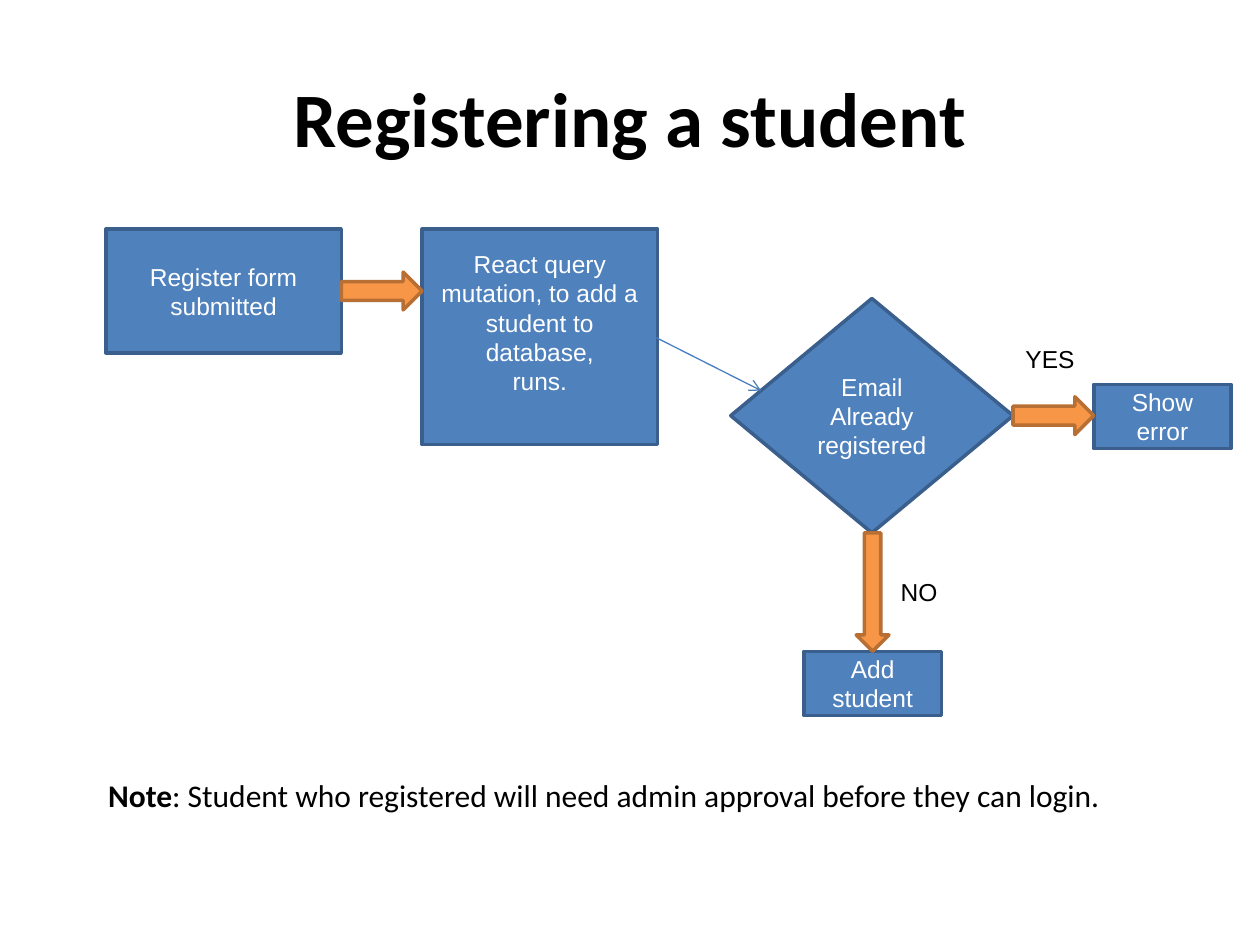
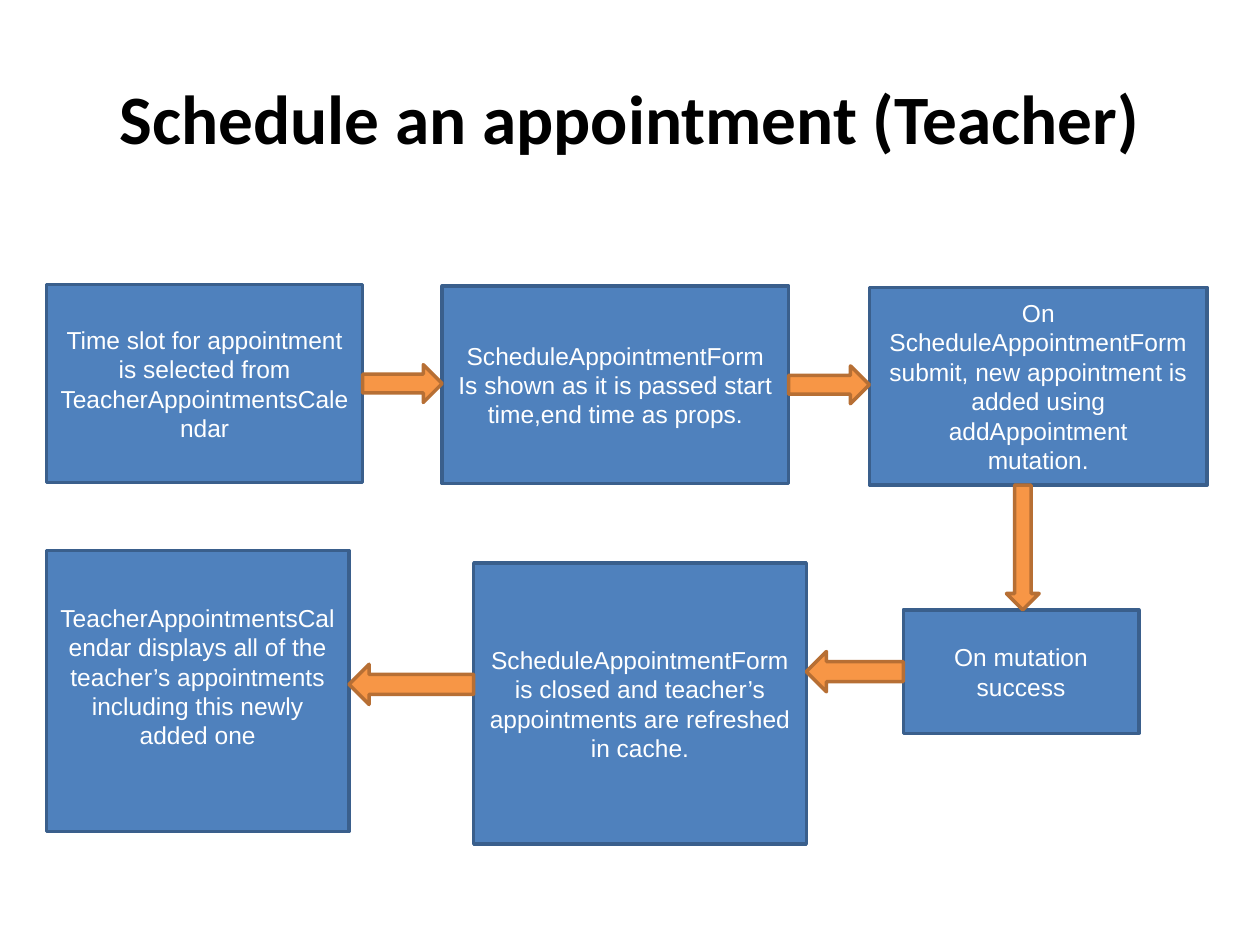
from lxml import etree
from pptx import Presentation
from pptx.dml.color import RGBColor
from pptx.enum import shapes, text
from pptx.oxml import ns
from pptx.util import Pt

BLUE, DARK_BLUE, LINK_BLUE = "4F81BD", "3A5F8C", "4B7EBC"
ORANGE, DARK_ORANGE = "F79646", "B76F34"
BLACK, WHITE = "000000", "FFFFFF"
BODY, HEADING = "Arial", "Calibri"
INSET_X, INSET_Y, LINE_HEIGHT = 7.2, 3.6, 16.8
AUTO = shapes.MSO_SHAPE


def rgb(value):
    return RGBColor.from_string(value)


def style_text(tf, size, font, color, align, bold=None):
    for p in tf.paragraphs:
        p.alignment = align
        for r in p.runs:
            r.font.size, r.font.name = Pt(size), font
            r.font.bold = bold
            r.font.color.rgb = rgb(color)


def set_insets(tf, extra_bottom=0):
    tf.margin_left = tf.margin_right = Pt(INSET_X)
    tf.margin_top = Pt(INSET_Y)
    tf.margin_bottom = Pt(INSET_Y + extra_bottom)


def filled_shape(s, kind, box, fill, line):
    sp = s.shapes.add_shape(kind, *(Pt(v) for v in box))
    sp.shadow.inherit = False
    sp.fill.solid()
    sp.fill.fore_color.rgb = rgb(fill)
    sp.line.color.rgb = rgb(line)
    sp.line.width = Pt(2)
    return sp


def step(s, origin, box, words, kind=AUTO.RECTANGLE, lines_below=0):
    """Draw a flow step at an offset from origin; lines_below lifts its text."""
    x, y, w, h = box
    sp = filled_shape(s, kind, (origin[0] + x, origin[1] + y, w, h),
                      BLUE, DARK_BLUE)
    tf = sp.text_frame
    tf.text = words
    tf.word_wrap = True
    tf.vertical_anchor = text.MSO_ANCHOR.MIDDLE
    set_insets(tf, lines_below * LINE_HEIGHT)
    style_text(tf, 14, BODY, WHITE, text.PP_ALIGN.CENTER)
    return sp


def block_arrow(s, source, target, shift=0):
    """Fill the gap from source to target with a block arrow, moved sideways by shift."""
    sx, sy, sw, sh = (v.pt for v in (source.left, source.top, source.width, source.height))
    tx, ty, tw = target.left.pt, target.top.pt, target.width.pt
    if tx >= sx + sw:
        kind, thick = AUTO.RIGHT_ARROW, 21.6
        box = (sx + sw, sy + (sh - thick) / 2 + shift, tx - sx - sw, thick)
    elif tx + tw <= sx:
        kind, thick = AUTO.LEFT_ARROW, 23
        box = (tx + tw, sy + (sh - thick) / 2 + shift, sx - tx - tw, thick)
    else:
        kind, thick = AUTO.DOWN_ARROW, 18.7
        box = (tx + (tw - thick) / 2 + shift, sy + sh, thick, ty - sy - sh)
    filled_shape(s, kind, box, ORANGE, DARK_ORANGE)


def thin_arrow(s, origin, start, end):
    ends = [Pt(o + v) for point in (start, end) for o, v in zip(origin, point)]
    line = s.shapes.add_connector(shapes.MSO_CONNECTOR.STRAIGHT, *ends)
    line.line.color.rgb = rgb(LINK_BLUE)
    line.line.width = Pt(0.75)
    etree.SubElement(line.line._get_or_add_ln(), ns.qn("a:tailEnd"), type="arrow")
    etree.SubElement(line._element.spPr, ns.qn("a:effectLst"))


def label(s, origin, box, words, size=14, font=BODY, wrap=True):
    x, y, w, h = box
    tf = s.shapes.add_textbox(Pt(origin[0] + x), Pt(origin[1] + y), Pt(w), Pt(h)).text_frame
    tf.text = words
    tf.word_wrap = wrap
    set_insets(tf)
    style_text(tf, size, font, BLACK, text.PP_ALIGN.LEFT)
    return tf


def titled_slide(prs, title, size):
    s = prs.slides.add_slide(prs.slide_layouts[5])
    sp = s.shapes.title
    sp.left, sp.top, sp.width, sp.height = Pt(36), Pt(21.6), Pt(648), Pt(90)
    tf = sp.text_frame
    tf.text = title
    tf.vertical_anchor = text.MSO_ANCHOR.MIDDLE
    set_insets(tf)
    style_text(tf, size, HEADING, BLACK, text.PP_ALIGN.CENTER, bold=True)
    return s


def registration_flow(s, origin):
    form = step(s, origin, (0, 0, 134.6, 70.6), "Register form submitted")
    query = step(s, origin, (180.7, 0, 134.6, 123.1),
                 "React query mutation, to add a student to database,\nruns.",
                 lines_below=1)
    check = step(s, origin, (357.1, 39.6, 161.3, 133.9),
                 "Email\nAlready registered", AUTO.FLOWCHART_DECISION)
    block_arrow(s, form, query)
    thin_arrow(s, origin, (314.6, 62), (374.4, 92.2))

    error = step(s, origin, (564.5, 88.6, 78.5, 36.7), "Show error")
    add = step(s, origin, (398.9, 241.2, 78.5, 36.7), "Add student")
    for outcome in (error, add):
        block_arrow(s, check, outcome)
    label(s, origin, (518.4, 62, 46.1, 24.5), "YES")
    label(s, origin, (447.1, 195.2, 46.1, 24.5), "NO")


def approval_note(s, origin):
    tf = label(s, origin, (0, 0, 591.1, 28.8), "Note", 18, HEADING, wrap=False)
    p = tf.paragraphs[0]
    r = p.add_run()
    r.text = ": Student who registered will need admin approval before they can login."
    style_text(tf, 18, HEADING, BLACK, text.PP_ALIGN.LEFT)
    p.runs[0].font.bold = True


def appointment_flow(s, origin):
    slot = step(s, origin, (0, 0, 180.7, 113),
                "Time slot for appointment is selected from TeacherAppointmentsCalendar")
    form = step(s, origin, (226.1, 0.7, 198, 113),
                "ScheduleAppointmentForm\n"
                "Is shown as it is passed start time,end time as props.")
    submit = step(s, origin, (470.2, 1.5, 193, 113),
                  "On ScheduleAppointmentForm\n"
                  "submit, new appointment is added using addAppointment\nmutation.")
    success = step(s, origin, (489.6, 185.8, 134.6, 70.6), "On mutation success")
    closed = step(s, origin, (244.1, 159.1, 190.1, 160.6),
                  "ScheduleAppointmentForm\n"
                  "is closed and teacher’s appointments are refreshed in cache.")
    calendar = step(s, origin, (0, 151.9, 172.8, 160.6),
                    "TeacherAppointmentsCalendar displays all of the teacher’s "
                    "appointments including this newly added one", lines_below=1)
    for source, target, shift in ((slot, form, 0), (form, submit, 0),
                                  (submit, success, 1), (success, closed, 0),
                                  (closed, calendar, -11)):
        block_arrow(s, source, target, shift)


def main():
    prs = Presentation()
    prs.slide_width, prs.slide_height = Pt(720), Pt(540)

    s = titled_slide(prs, "Registering a student", 44)
    registration_flow(s, (60.5, 131))
    approval_note(s, (54.7, 439.9))

    s = titled_slide(prs, "Schedule an appointment (Teacher)", 39.6)
    appointment_flow(s, (26.6, 162.7))

    prs.save("out.pptx")


if __name__ == "__main__":
    main()
